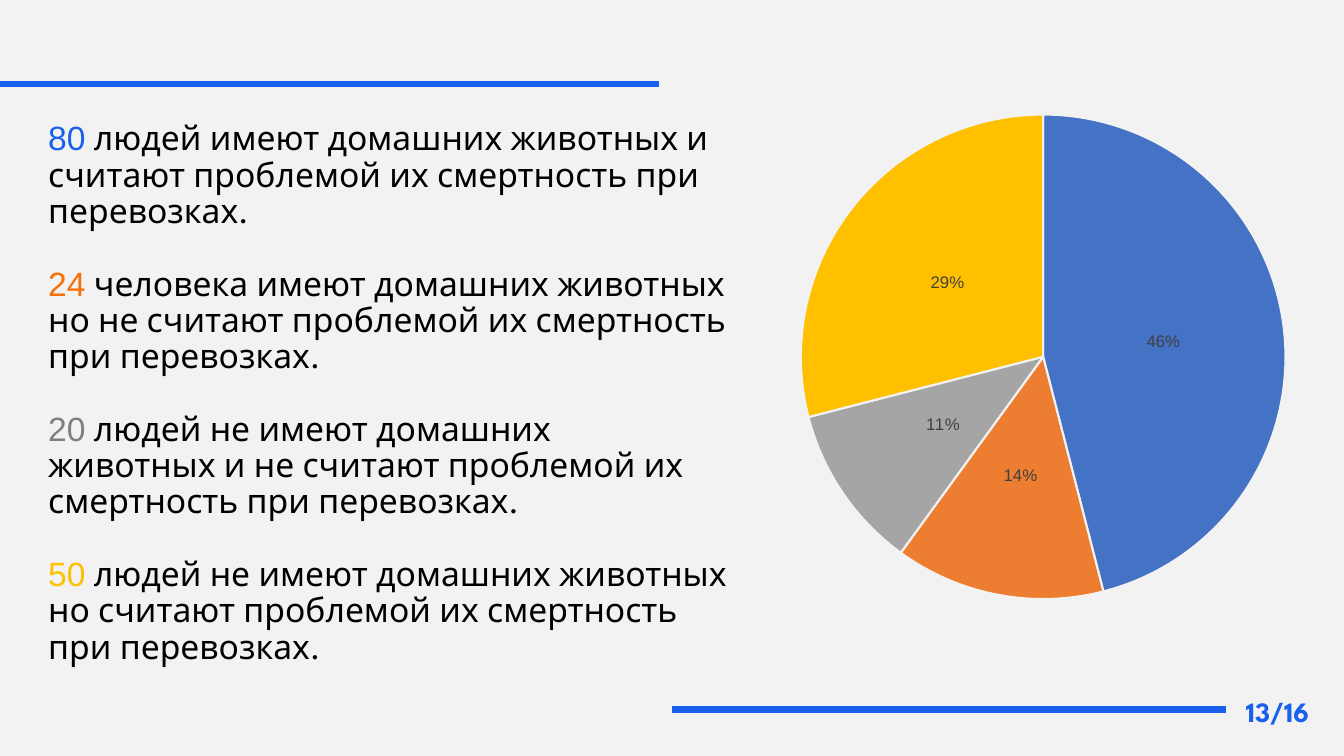
"""Build a survey slide with four findings and a pie chart."""
from typing import NamedTuple

from lxml import etree
from pptx import Presentation
from pptx.chart.data import CategoryChartData
from pptx.dml.color import RGBColor
from pptx.enum.chart import XL_CHART_TYPE, XL_LABEL_POSITION
from pptx.enum.shapes import MSO_CONNECTOR
from pptx.enum.text import MSO_ANCHOR
from pptx.oxml import parse_xml
from pptx.oxml.ns import nsdecls, qn
from pptx.util import Inches, Pt

PIE = XL_CHART_TYPE.PIE
CENTER = XL_LABEL_POSITION.CENTER
STRAIGHT = MSO_CONNECTOR.STRAIGHT
MIDDLE = MSO_ANCHOR.MIDDLE

HUES = {
    "back": "F2F2F2", "blue": "1960EF", "black": "000000", "label": "404040",
    "orange": "F76F09", "gray": "7F7F7F", "gold": "FFC000",
    "slice1": "4472C4", "slice2": "ED7D31", "slice3": "A5A5A5", "slice4": "FFC000",
}
HEAD = "League Spartan"
BODY = "Arial"
PLOT = {"x": 0.149, "y": 0.065, "w": 0.717, "h": 0.874}


class Run(NamedTuple):
    text: str
    hue: str
    font: str


class Group(NamedTuple):
    count: str
    hue: str
    text: str
    share: int
    slice: str


class Rule(NamedTuple):
    left: float
    right: float
    top: float


GROUPS = [
    Group("80", "blue", " людей имеют домашних животных и считают проблемой"
          " их смертность при перевозках.", 46, "slice1"),
    Group("24", "orange", " человека имеют домашних животных но не считают"
          " проблемой их смертность при перевозках.", 14, "slice2"),
    Group("20", "gray", " людей не имеют домашних\nживотных и не считают"
          " проблемой их смертность при перевозках.", 11, "slice3"),
    Group("50", "gold", " людей не имеют домашних животных но считают"
          " проблемой их смертность при перевозках.", 29, "slice4"),
]
RULES = [Rule(0, 6.54, 0.83), Rule(6.67, 12.16, 7.04)]


def color(name: str) -> RGBColor:
    return RGBColor.from_string(HUES[name])


def add_text(slide, box: tuple, paras: list[list[Run]], *, size: float,
             bold: bool = False, gap: float = 0, pitch: float = 1.0,
             anchor=None) -> None:
    frame = slide.shapes.add_textbox(*map(Inches, box)).text_frame
    frame.word_wrap = True
    if anchor is not None:
        frame.vertical_anchor = anchor
    for index, runs in enumerate(paras):
        para = frame.add_paragraph() if index else frame.paragraphs[0]
        para.line_spacing = pitch
        if index:
            para.space_before = Pt(gap)
        for item in runs:
            for row, line in enumerate(item.text.split("\n")):
                if row:
                    para.add_line_break()
                run = para.add_run()
                run.text = line
                run.font.name = item.font
                run.font.size = Pt(size)
                run.font.bold = bold
                run.font.color.rgb = color(item.hue)


def add_rule(slide, rule: Rule) -> None:
    top = Inches(rule.top)
    line = slide.shapes.add_connector(
        STRAIGHT, Inches(rule.left), top, Inches(rule.right), top)
    line.line.color.rgb = color("blue")
    line.line.width = Pt(4.5)
    etree.SubElement(line._element.spPr, qn("a:effectLst"))


def set_plot(chart) -> None:
    area = chart._chartSpace.chart.plotArea
    for old in area.findall(qn("c:layout")):
        area.remove(old)
    sides = "".join(f'<c:{key} val="{val}"/>' for key, val in PLOT.items())
    area.insert(0, parse_xml(
        f'<c:layout {nsdecls("c")}><c:manualLayout><c:layoutTarget val="inner"/>'
        f'<c:xMode val="edge"/><c:yMode val="edge"/>{sides}'
        '</c:manualLayout></c:layout>'))


def add_pie(slide, box: tuple, groups: list[Group]) -> None:
    data = CategoryChartData()
    data.categories = [str(num) for num in range(1, len(groups) + 1)]
    data.add_series("Series 1", [group.share for group in groups])
    chart = slide.shapes.add_chart(PIE, *map(Inches, box), data).chart
    chart.has_legend = False
    chart.has_title = False
    chart.font.name = BODY
    chart.font.size = Pt(10)
    chart.font.color.rgb = color("black")
    plot = chart.plots[0]
    plot.vary_by_categories = True
    for index, group in enumerate(groups):
        form = plot.series[0].points[index].format
        form.fill.solid()
        form.fill.fore_color.rgb = color(group.slice)
        form.line.color.rgb = color("back")
        form.line.width = Pt(1.5)
    plot.has_data_labels = True
    labels = plot.data_labels
    labels.show_percentage = True
    labels.show_value = False
    labels.number_format = "0%"
    labels.number_format_is_linked = False
    labels.position = CENTER
    labels.font.name = BODY
    labels.font.size = Pt(12)
    labels.font.color.rgb = color("label")
    set_plot(chart)


def main() -> None:
    deck = Presentation()
    deck.slide_width, deck.slide_height = Inches(13.33), Inches(7.5)
    slide = deck.slides.add_slide(deck.slide_layouts[6])
    slide.background.fill.solid()
    slide.background.fill.fore_color.rgb = color("back")
    paras = [[Run(group.count, group.hue, BODY), Run(group.text, "black", HEAD)]
             for group in GROUPS]
    add_text(slide, (0.38, 1.25, 6.93, 5.32), paras,
             size=24, gap=26, pitch=0.9, anchor=MIDDLE)
    add_pie(slide, (6.85, 0.78, 6.89, 5.5), GROUPS)
    for rule in RULES:
        add_rule(slide, rule)
    add_text(slide, (12.26, 6.84, 1.07, 0.43), [[Run("13/16", "blue", HEAD)]],
             size=20, bold=True)
    deck.save("out.pptx")


if __name__ == "__main__":
    main()
